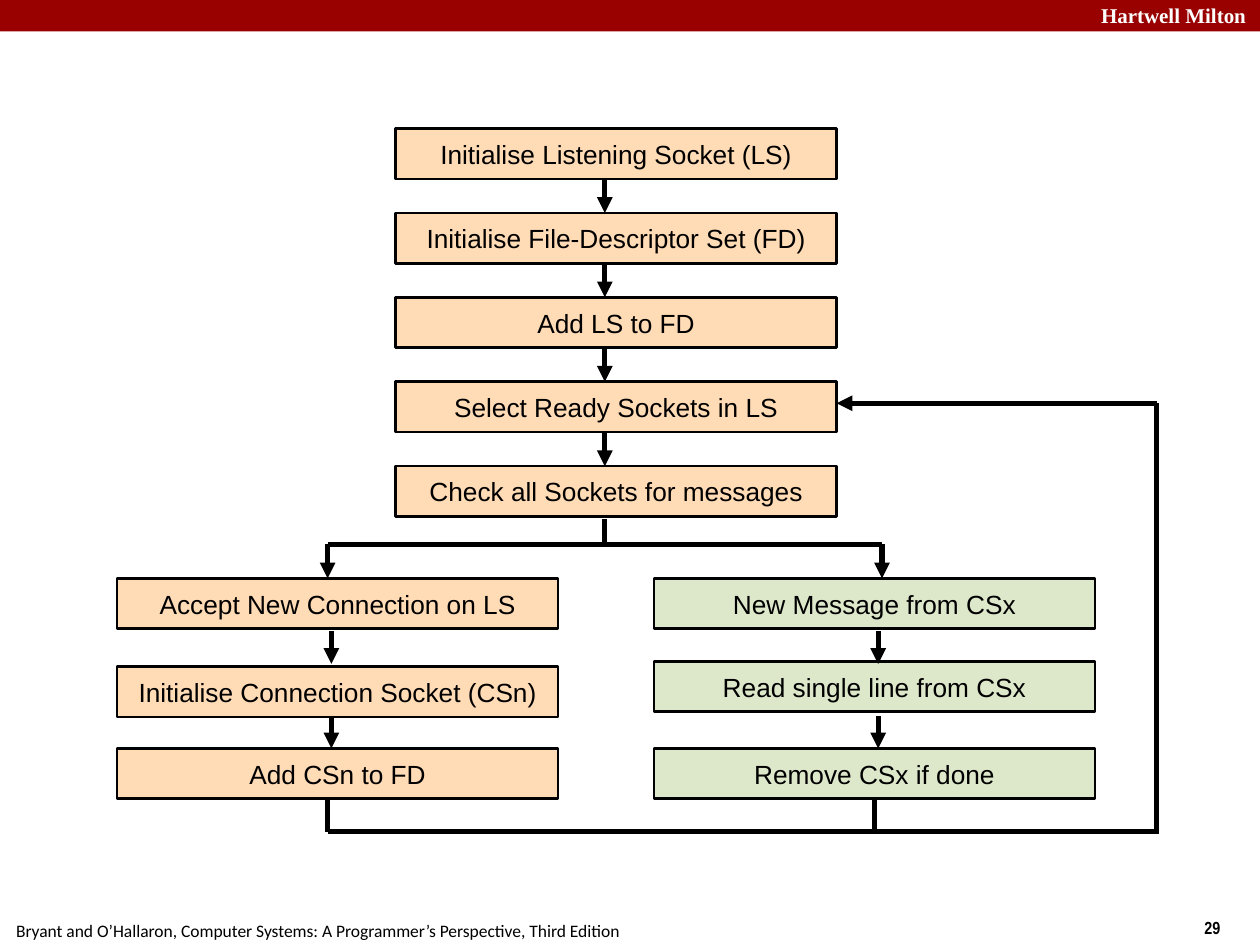
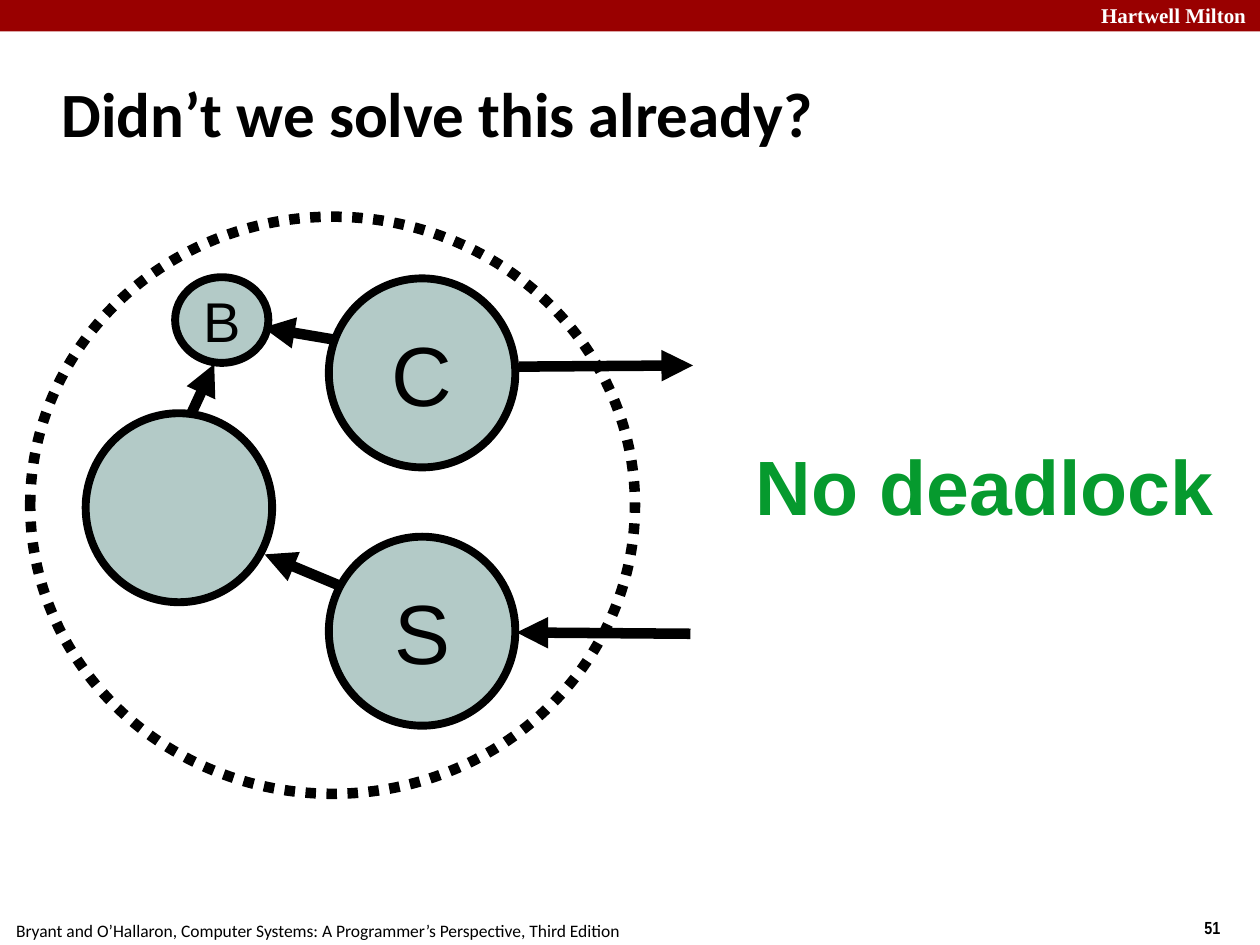
from itertools import pairwise

from pptx import Presentation
from pptx import util as u
from pptx.dml.color import RGBColor
from pptx.enum import dml, shapes, text
from pptx.oxml import ns, xmlchemy

BLACK = RGBColor(0x00, 0x00, 0x00)
WHITE = RGBColor(0xFF, 0xFF, 0xFF)
CRIMSON = RGBColor(0x99, 0x00, 0x00)
PEACH = RGBColor(0xFF, 0xDB, 0xB6)
SAGE = RGBColor(0xDD, 0xE8, 0xCB)
TEAL = RGBColor(0xB3, 0xCA, 0xC7)
GREEN = RGBColor(0x06, 0x9A, 0x2E)

COLUMNS, ROWS = 10, 7.5
STEP_WIDTH, STEP_HEIGHT = 3.5, 0.4
SCHOOL = "Hartwell Milton"
CITATION = "Bryant and O’Hallaron, Computer Systems: A Programmer’s Perspective, Third Edition"
RECT = shapes.MSO_SHAPE.RECTANGLE
OVAL = shapes.MSO_SHAPE.OVAL


class Deck:
    def __init__(self):
        self.show = Presentation()
        self.show.slide_width, self.show.slide_height = u.Inches(10), u.Inches(7.5)
        self.column = self.show.slide_width / COLUMNS
        self.row = self.show.slide_height / ROWS
        self.page = None

    def place(self, left, top, width, height):
        return (round(left * self.column), round(top * self.row),
                round(width * self.column), round(height * self.row))

    def set_words(self, box, words, size, font="Arial", color=BLACK, bold=False,
                  align=text.PP_ALIGN.LEFT):
        frame = box.text_frame
        frame.text = words
        para = frame.paragraphs[0]
        para.alignment = align
        para.font.name, para.font.size, para.font.bold = font, u.Pt(size), bold
        para.font.color.rgb = color
        return frame

    def new_page(self, number, title=None):
        layout = self.show.slide_layouts[5 if title else 6]
        self.page = self.show.slides.add_slide(layout)
        self.shape(RECT, (0, 0, COLUMNS, 0.25), CRIMSON)
        self.label((8.64, -0.03, 1.43, 0.3), SCHOOL, 12, "Times New Roman", WHITE, True)
        self.label((9.46, 7.23, 0.75, 0.27), str(number), 10, "Arial Narrow", bold=True)
        self.label((0.03, 7.25, 5.2, 0.27), CITATION, 10, "Calibri")
        if title:
            self.title(title)

    def title(self, words):
        box = self.page.shapes.title
        box.left, box.top, box.width, box.height = self.place(0.39, 0.48, 8.3, 0.83)
        frame = self.set_words(box, words, 36, "Calibri", bold=True)
        frame.auto_size = text.MSO_AUTO_SIZE.NONE
        frame.vertical_anchor = text.MSO_ANCHOR.MIDDLE

    def label(self, area, words, size, font="Arial", color=BLACK, bold=False):
        box = self.page.shapes.add_textbox(*self.place(*area))
        self.set_words(box, words, size, font, color, bold).word_wrap = True

    def shape(self, kind, area, fill=None, line=0, words="", size=15, dash=None):
        box = self.page.shapes.add_shape(kind, *self.place(*area))
        box.shadow.inherit = False
        if fill is None:
            box.fill.background()
        else:
            box.fill.solid()
            box.fill.fore_color.rgb = fill
        if line:
            box.line.color.rgb = BLACK
            box.line.width = u.Pt(line)
            box.line.dash_style = dash
        else:
            box.line.fill.background()
        if words:
            frame = self.set_words(box, words, size, align=text.PP_ALIGN.CENTER)
            frame.word_wrap = False
            frame.vertical_anchor = text.MSO_ANCHOR.MIDDLE

    def line(self, start, end, width=3, arrow=False):
        link = self.page.shapes.add_connector(
            shapes.MSO_CONNECTOR.STRAIGHT, *self.place(*start, *end))
        link.line.color.rgb = BLACK
        link.line.width = u.Pt(width)
        properties = link.element.find(ns.qn("p:spPr"))
        if arrow:
            head = xmlchemy.OxmlElement("a:tailEnd")
            head.set("type", "triangle")
            properties.find(ns.qn("a:ln")).append(head)
        properties.append(xmlchemy.OxmlElement("a:effectLst"))

    def step(self, left, top, words, fill):
        self.shape(RECT, (left, top, STEP_WIDTH, STEP_HEIGHT), fill, 1.5, words)

    def circle(self, left, top, width, height, words="", size=48):
        self.shape(OVAL, (left, top, width, height), TEAL, 4.5, words, size)


def build_server_flow(deck):
    deck.new_page(29)
    setup = ["Initialise Listening Socket (LS)", "Initialise File-Descriptor Set (FD)",
             "Add LS to FD", "Select Ready Sockets in LS", "Check all Sockets for messages"]
    setup_tops = [1.02 + 0.67 * index for index in range(len(setup))]
    for top, words in zip(setup_tops, setup):
        deck.step(3.14, top, words, PEACH)

    branches = [
        (0.93, PEACH, [(4.59, "Accept New Connection on LS"),
                       (5.29, "Initialise Connection Socket (CSn)"),
                       (5.94, "Add CSn to FD")]),
        (5.19, SAGE, [(4.59, "New Message from CSx"),
                      (5.25, "Read single line from CSx"),
                      (5.94, "Remove CSx if done")]),
    ]
    for left, fill, steps in branches:
        for top, words in steps:
            deck.step(left, top, words, fill)

    middle, fork, loop_bottom, loop_right, loop_top = 4.8, 4.32, 6.6, 9.18, 3.2
    for upper, lower in pairwise(setup_tops):
        deck.line((middle, upper + STEP_HEIGHT), (middle, lower), arrow=True)
    deck.line((middle, 4.12), (middle, fork))
    deck.line((2.6, fork), (7, fork))
    for entry, inner, leave in [(2.6, 2.63, 2.6), (7, 6.97, 6.94)]:
        deck.line((entry, fork), (entry, 4.59), arrow=True)
        for top in (5.01, 5.68):
            deck.line((inner, top), (inner, top + 0.26), arrow=True)
        deck.line((leave, 6.34), (leave, loop_bottom))
    deck.line((2.6, loop_bottom), (9.2, loop_bottom))
    deck.line((loop_right, loop_top), (loop_right, loop_bottom))
    deck.line((loop_right, loop_top), (6.64, loop_top), arrow=True)


def build_deadlock(deck):
    deck.new_page(51, "Didn’t we solve this already?")
    deck.shape(OVAL, (0.24, 1.72, 4.8, 4.58), line=6, dash=dml.MSO_LINE.ROUND_DOT)
    for left, top, words in [(2.61, 2.21, "C"), (2.61, 4.26, "S"), (0.68, 3.28, "")]:
        deck.circle(left, top, 1.48, 1.5, words)
    deck.circle(1.39, 2.2, 0.74, 0.68, "B", 32)
    arrows = [((2.68, 2.7), (2.09, 2.6)), ((2.7, 4.65), (2.1, 4.4)),
              ((4.12, 2.91), (5.5, 2.9)), ((5.48, 5.03), (4.1, 5.02)),
              ((1.52, 3.28), (1.7, 2.89))]
    for start, end in arrows:
        deck.line(start, end, 6, arrow=True)
    deck.label((5.9, 3.43, 4.3, 0.78), "No deadlock", 44, color=GREEN, bold=True)


def main():
    deck = Deck()
    build_server_flow(deck)
    build_deadlock(deck)
    deck.show.save("out.pptx")


if __name__ == "__main__":
    main()
